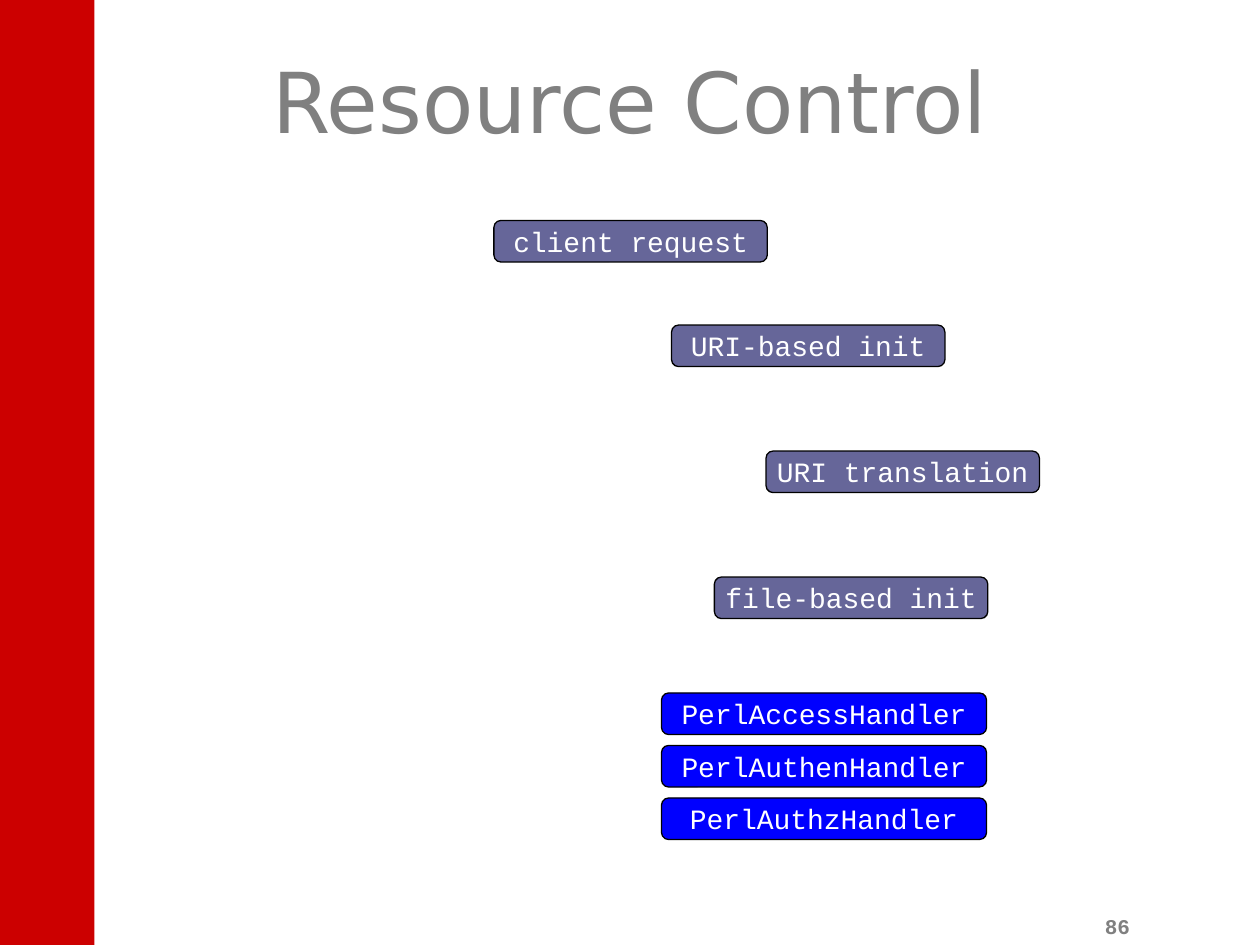
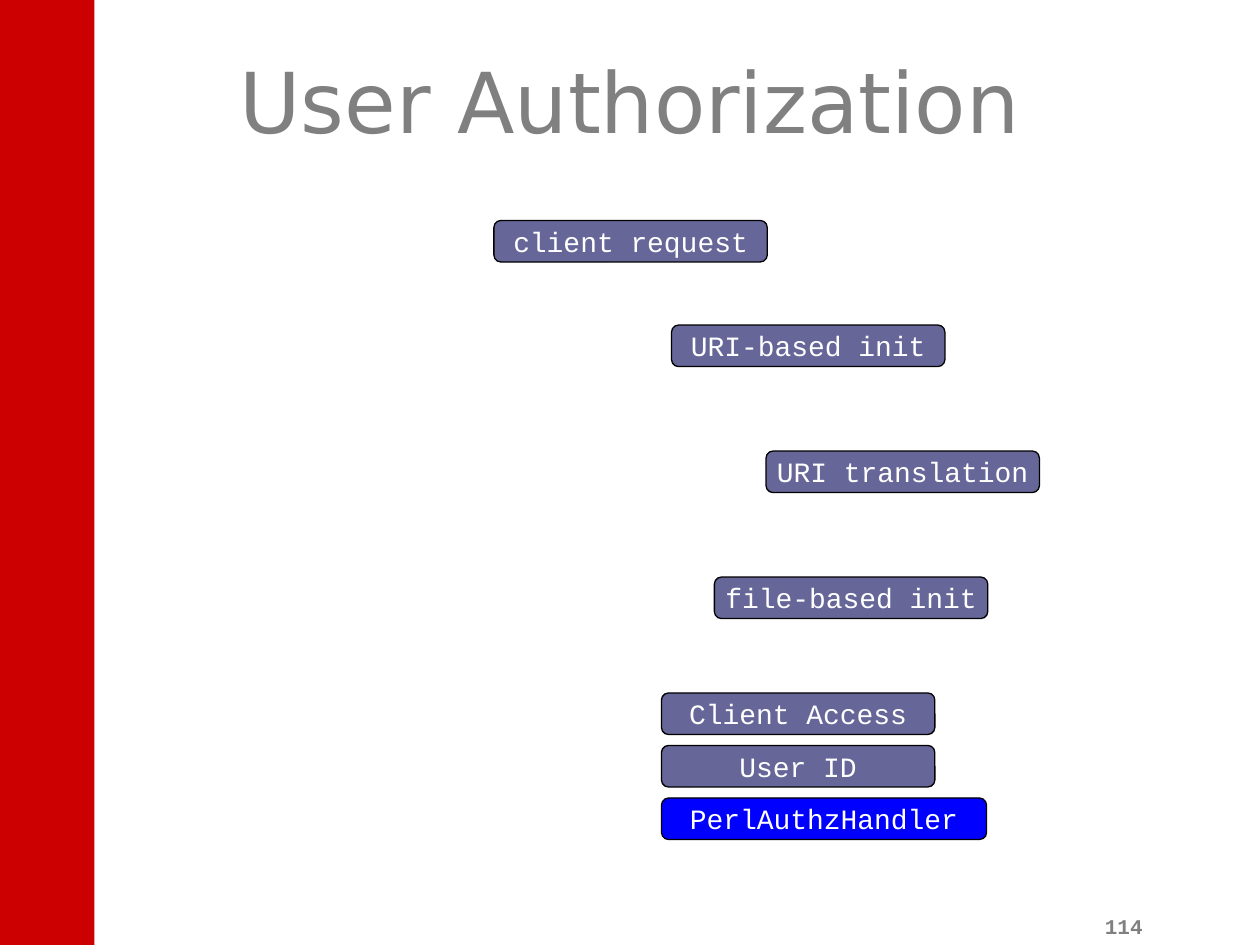
from pptx import Presentation
from pptx.dml.color import RGBColor
from pptx.enum.shapes import MSO_SHAPE
from pptx.enum.text import MSO_ANCHOR, PP_ALIGN
from pptx.util import Inches, Pt

COLORS = {
    "band": "CC0000",
    "heading": "808080",
    "phase": "666699",
    "handler": "0000FF",
    "outline": "000000",
    "label": "FFFFFF",
}
TITLE_FONT = {"name": "DejaVu Sans", "size": Pt(48)}
NUMBER_FONT = {"name": "Courier New", "size": Pt(12), "bold": True}
LABEL_FONT = {"name": "Courier New", "size": Pt(16)}

STEP_WIDTHS = {"phase": 2.17, "handler": 2.58}
STEP_HEIGHT = 0.33
EARLY_PHASES = [
    ("client request", 3.92, 1.75),
    ("URI-based init", 5.33, 2.58),
    ("URI translation", 6.08, 3.58),
    ("file-based init", 5.67, 4.58),
]
CONTROL_LEFT, CONTROL_TOP, CONTROL_PITCH = 5.25, 5.5, 1.25 / 3

SLIDES = [
    ("Resource Control", 86, [
        ("PerlAccessHandler", "handler"),
        ("PerlAuthenHandler", "handler"),
        ("PerlAuthzHandler", "handler"),
    ]),
    ("User Authorization", 114, [
        ("Client Access", "phase"),
        ("User ID", "phase"),
        ("PerlAuthzHandler", "handler"),
    ]),
]


def rgb(role):
    return RGBColor.from_string(COLORS[role])


def write(frame, text, font_format, color, align, anchor):
    frame.vertical_anchor = anchor
    paragraph = frame.paragraphs[0]
    paragraph.alignment = align
    run = paragraph.add_run()
    run.text = text
    for attribute, value in font_format.items():
        setattr(run.font, attribute, value)
    run.font.color.rgb = rgb(color)


def add_filled(slide, preset, left, top, width, height, color):
    shape = slide.shapes.add_shape(
        preset, Inches(left), Inches(top), Inches(width), Inches(height))
    shape.shadow.inherit = False
    shape.fill.solid()
    shape.fill.fore_color.rgb = rgb(color)
    return shape


def add_band(slide):
    band = add_filled(slide, MSO_SHAPE.RECTANGLE, 0, 0, 0.75, 7.5, "band")
    band.line.fill.background()


def add_title(slide, text):
    title = slide.shapes.add_textbox(
        Inches(0.75), Inches(0.17), Inches(8.5), Inches(1.25))
    title.text_frame.word_wrap = True
    write(title.text_frame, text, TITLE_FONT, "heading",
          PP_ALIGN.CENTER, MSO_ANCHOR.MIDDLE)


def add_number(slide, number):
    footer = slide.shapes.add_textbox(
        Inches(8.67), Inches(7), Inches(0.58), Inches(0.5))
    footer.text_frame.word_wrap = True
    write(footer.text_frame, str(number), NUMBER_FONT, "heading",
          PP_ALIGN.LEFT, MSO_ANCHOR.BOTTOM)


def add_step(slide, text, left, top, kind):
    """Draw one step of the request cycle; kind sets its colour and width."""
    step = add_filled(slide, MSO_SHAPE.ROUNDED_RECTANGLE, left, top,
                      STEP_WIDTHS[kind], STEP_HEIGHT, kind)
    step.adjustments[0] = 0.17
    step.line.color.rgb = rgb("outline")
    step.line.width = Pt(0.75)
    step.text_frame.word_wrap = False
    write(step.text_frame, text, LABEL_FONT, "label",
          PP_ALIGN.CENTER, MSO_ANCHOR.MIDDLE)


def add_request_slide(deck, title, number, control_steps):
    slide = deck.slides.add_slide(deck.slide_layouts[6])
    add_number(slide, number)
    add_band(slide)
    add_title(slide, title)
    for text, left, top in EARLY_PHASES:
        add_step(slide, text, left, top, "phase")
    for row, (text, kind) in enumerate(control_steps):
        add_step(slide, text, CONTROL_LEFT, CONTROL_TOP + row * CONTROL_PITCH, kind)


def main():
    deck = Presentation()
    deck.slide_width, deck.slide_height = Inches(10), Inches(7.5)
    for title, number, control_steps in SLIDES:
        add_request_slide(deck, title, number, control_steps)
    deck.save("out.pptx")


if __name__ == "__main__":
    main()
